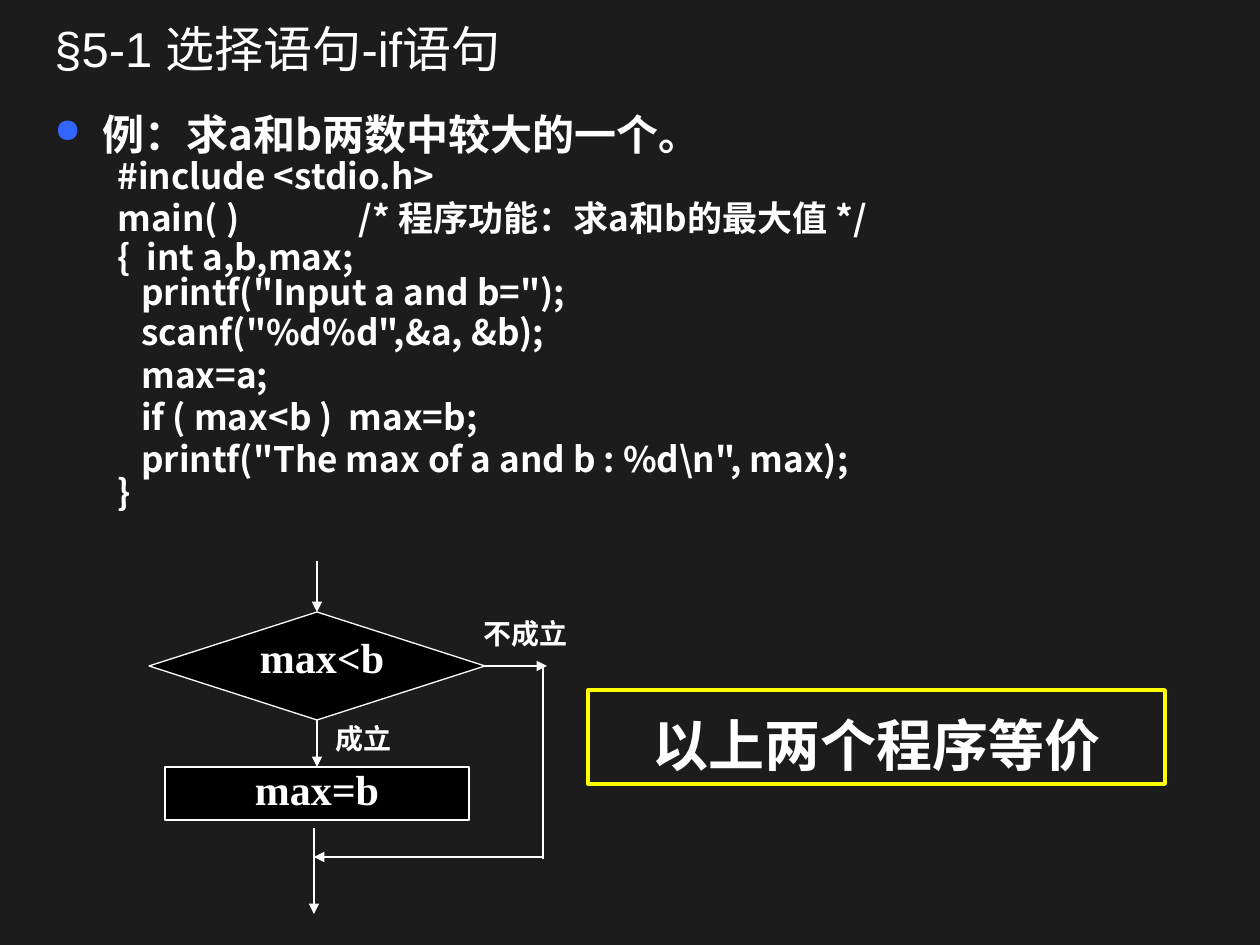
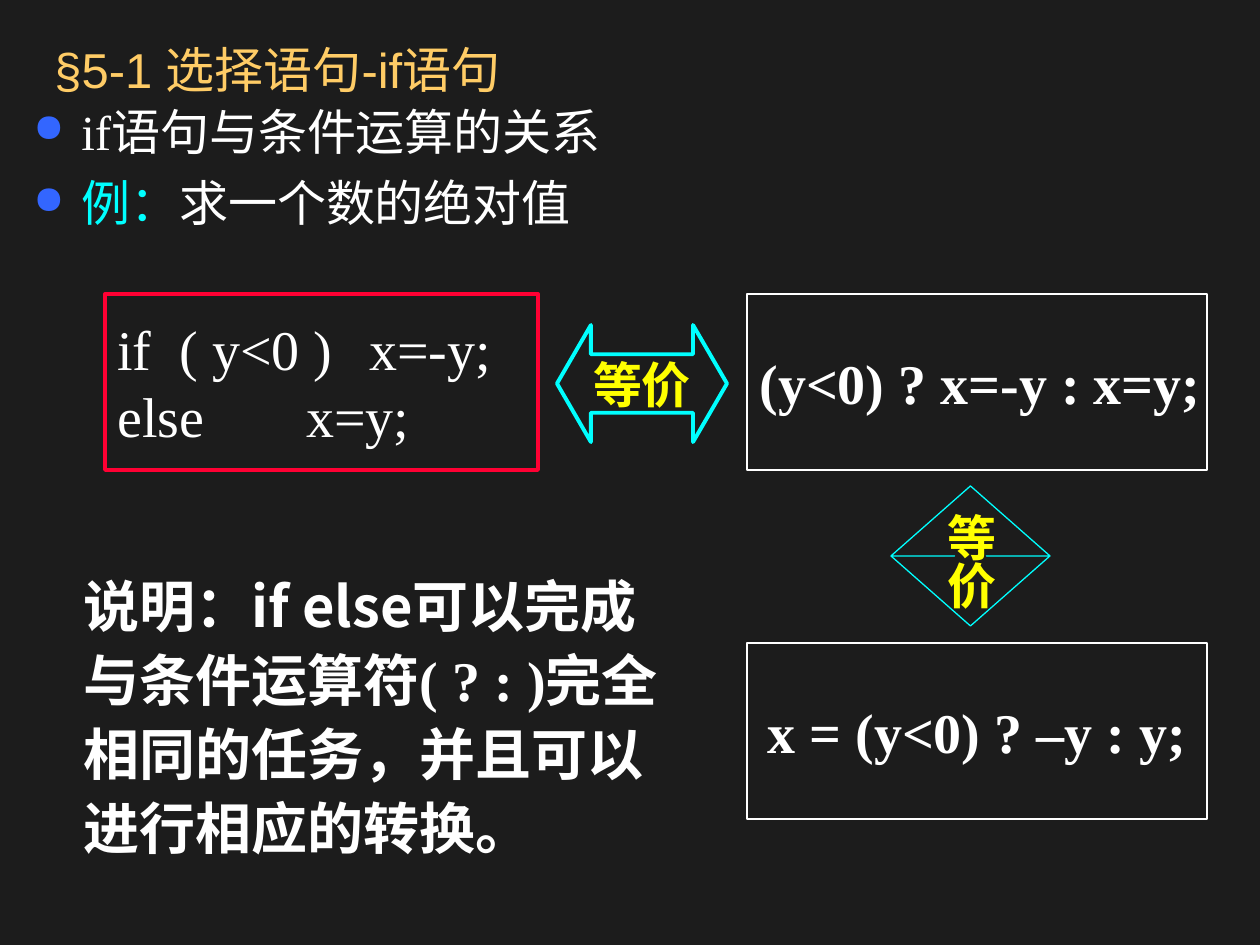
"""Builds two slides on the if statement and the conditional operator."""
from lxml import etree
from pptx import Presentation, util as u
from pptx.dml.color import RGBColor
from pptx.enum import shapes, text
from pptx.oxml.ns import qn

DARK = RGBColor(0x1C, 0x1C, 0x1C)
BLACK = RGBColor(0, 0, 0)
WHITE = RGBColor(0xFF, 0xFF, 0xFF)
GOLD = RGBColor(0xFF, 0xCC, 0x66)
YELLOW = RGBColor(0xFF, 0xFF, 0)
CYAN = RGBColor(0, 0xFF, 0xFF)
RED = RGBColor(0xFF, 0, 0x33)
BLUE = RGBColor(0x33, 0x66, 0xFF)
SANS, SERIF, HEAD = "Noto Sans CJK SC", "Times New Roman", "Arial"
LEFT, MID = text.PP_ALIGN.LEFT, text.PP_ALIGN.CENTER
KIND = shapes.MSO_SHAPE


def px(n):
    return u.Emu(round(n * 914400 / 126))


class Deck:
    def __init__(self):
        self.prs = Presentation()
        self.prs.slide_width, self.prs.slide_height = px(1260), px(945)

    def page(self, top, color):
        self.slide = self.prs.slides.add_slide(self.prs.slide_layouts[6])
        fill = self.slide.background.fill
        fill.solid()
        fill.fore_color.rgb = DARK
        title = self.label(42, top, 1071, 53)
        title.vertical_anchor = text.MSO_ANCHOR.MIDDLE
        self.para(title, "§5-1 选择语句-if语句", 28, color=color, face=HEAD)

    def label(self, x, y, w, h):
        frame = self.slide.shapes.add_textbox(px(x), px(y), px(w), px(h)).text_frame
        frame.word_wrap = True
        return frame

    def shape(self, kind, x, y, w, h, line=WHITE, width=0.75, fill=None, adj=()):
        item = self.slide.shapes.add_shape(kind, px(x), px(y), px(w), px(h))
        item.shadow.inherit = False
        for i, value in enumerate(adj):
            item.adjustments[i] = value
        if fill is None:
            item.fill.background()
        else:
            item.fill.solid()
            item.fill.fore_color.rgb = fill
        item.line.color.rgb = line
        item.line.width = u.Pt(width)
        item.text_frame.word_wrap = False
        return item

    def para(self, frame, runs, size, color=WHITE, face=SERIF, bold=False,
             align=LEFT, space=1.0, before=0, bullet=False, indent=None):
        """Adds a paragraph; runs is a string or a list of (text, color, face)."""
        first = not frame.paragraphs[0].runs
        par = frame.paragraphs[0] if first else frame.add_paragraph()
        props = par._p.get_or_add_pPr()
        if indent:
            props.set("marL", str(px(indent[0])))
            props.set("indent", str(px(indent[1])))
        if bullet:
            tint = etree.SubElement(props, qn("a:buClr"))
            etree.SubElement(tint, qn("a:srgbClr"), val=str(BLUE))
            etree.SubElement(props, qn("a:buSzPct"), val="80000")
            etree.SubElement(props, qn("a:buChar"), char="●")
        par.alignment = align
        par.line_spacing = space
        if not first:
            par.space_before = u.Pt(before)
        font = par.font
        font.size, font.bold, font.name = u.Pt(size), bold, face
        font.color.rgb = color
        etree.SubElement(props.find(qn("a:defRPr")), qn("a:ea"), typeface=SANS)
        if isinstance(runs, str):
            runs = [(runs, color, face)]
        for words, hue, name in runs:
            run = par.add_run()
            run.text = words
            if hue != color:
                run.font.color.rgb = hue
            if name != face:
                run.font.name = name

    def line(self, x1, y1, x2, y2, start=None, end=None, arrow=True):
        item = self.slide.shapes.add_connector(
            shapes.MSO_CONNECTOR.STRAIGHT, px(x1), px(y1), px(x2), px(y2))
        if start:
            item.begin_connect(*start)
        if end:
            item.end_connect(*end)
        item.line.color.rgb = WHITE
        item.line.width = u.Pt(0.75)
        if arrow:
            etree.SubElement(item.line._get_or_add_ln(), qn("a:tailEnd"), type="triangle")
        etree.SubElement(item._element.spPr, qn("a:effectLst"))


CODE = [
    ("#include <stdio.h>", 0.7),
    ("main( )               /* 程序功能：求a和b的最大值 */", 0.8),
    ("{  int a,b,max;", 0.7),
    ('   printf("Input a and b=");', 0.6),
    ('   scanf("%d%d",&a, &b);', 0.8),
    ("   max=a;", 0.8),
    ("   if ( max<b )  max=b;", 0.8),
    ('   printf("The max of a and b : %d\\n", max);', 0.8),
    ("}", 0.5),
]


def flow(deck):
    test = deck.shape(KIND.DIAMOND, 149, 612, 336, 108, fill=BLACK)
    deck.para(deck.label(243, 625, 158, 63), "max<b", 24, bold=True, align=MID)
    step = deck.shape(KIND.RECTANGLE, 165, 767, 304, 53, fill=BLACK)
    step.text_frame.word_wrap = True
    step.text_frame.vertical_anchor = text.MSO_ANCHOR.TOP
    deck.para(step.text_frame, "max=b", 24, bold=True, align=MID, space=0.8)
    deck.line(317, 561, 317, 612, end=(test, 0))
    deck.line(317, 720, 317, 767, start=(test, 2), end=(step, 0))
    deck.line(485, 666, 547, 666, start=(test, 3))
    deck.line(543, 666, 543, 859, arrow=False)
    deck.line(314, 828, 314, 914)
    deck.line(543, 857, 314, 857)
    for words, x, y in (("成立", 323, 722), ("不成立", 471, 617)):
        deck.para(deck.label(x, y, 110, 40), words, 16, bold=True, space=0.8)


def largest(deck):
    deck.page(21, WHITE)
    body = deck.label(42, 116, 1218, 473)
    deck.para(body, "例：求a和b两数中较大的一个。", 24, face=SANS, bold=True,
              space=0.7, bullet=True, indent=(48, -48))
    for words, space in CODE:
        deck.para(body, words, 20, face=SANS, bold=True, space=space,
                  before=5, indent=(102, -39))
    note = deck.shape(KIND.RECTANGLE, 588, 690, 577, 94, YELLOW, 2.25)
    note.text_frame.word_wrap = True
    deck.para(note.text_frame, "以上两个程序等价", 32, bold=True, align=MID, space=1.2)
    flow(deck)


def equal(deck):
    deck.page(42, GOLD)
    body = deck.label(21, 95, 1218, 168)
    for runs in ("if语句与条件运算的关系",
                 [("例：", CYAN, SERIF), ("求一个数的绝对值", WHITE, SERIF)]):
        deck.para(body, runs, 28, before=7, bullet=True, indent=(48, -48))

    branch = deck.shape(KIND.RECTANGLE, 105, 294, 433, 176, RED, 2.25).text_frame
    for words in ("if  ( y<0 )\tx=-y;", "else\t\tx=y;"):
        deck.para(branch, words, 32)
    for words, y, align in (("(y<0) ? x=-y : x=y;", 294, LEFT),
                            ("x = (y<0) ? –y : y;", 643, MID)):
        box = deck.shape(KIND.RECTANGLE, 747, y, 460, 176)
        deck.para(box.text_frame, words, 32, bold=True, align=align)

    across = deck.shape(KIND.LEFT_RIGHT_ARROW, 557, 325, 170, 117, CYAN, 2.25, adj=(0.5, 0.29))
    down = deck.shape(KIND.UP_DOWN_ARROW, 891, 486, 159, 140, CYAN, adj=(0.5, 0.2))
    frame = down.text_frame
    frame._txBody.bodyPr.set("vert", "eaVert")
    frame.margin_left = frame.margin_right = px(6)
    frame.margin_top = frame.margin_bottom = px(13)
    for arrow in (across, down):
        deck.para(arrow.text_frame, "等价", 28, color=YELLOW, bold=True, align=MID)

    deck.para(deck.label(71, 559, 611, 309), [
        ("说明：", WHITE, SERIF),
        ("if else", WHITE, SANS),
        ("可以完成与条件运算符( ? : )完全相同的任务，并且可以进行相应的转换。", WHITE, SERIF),
    ], 32, bold=True, space=1.1)


def main():
    deck = Deck()
    largest(deck)
    equal(deck)
    deck.prs.save("out.pptx")


if __name__ == "__main__":
    main()
